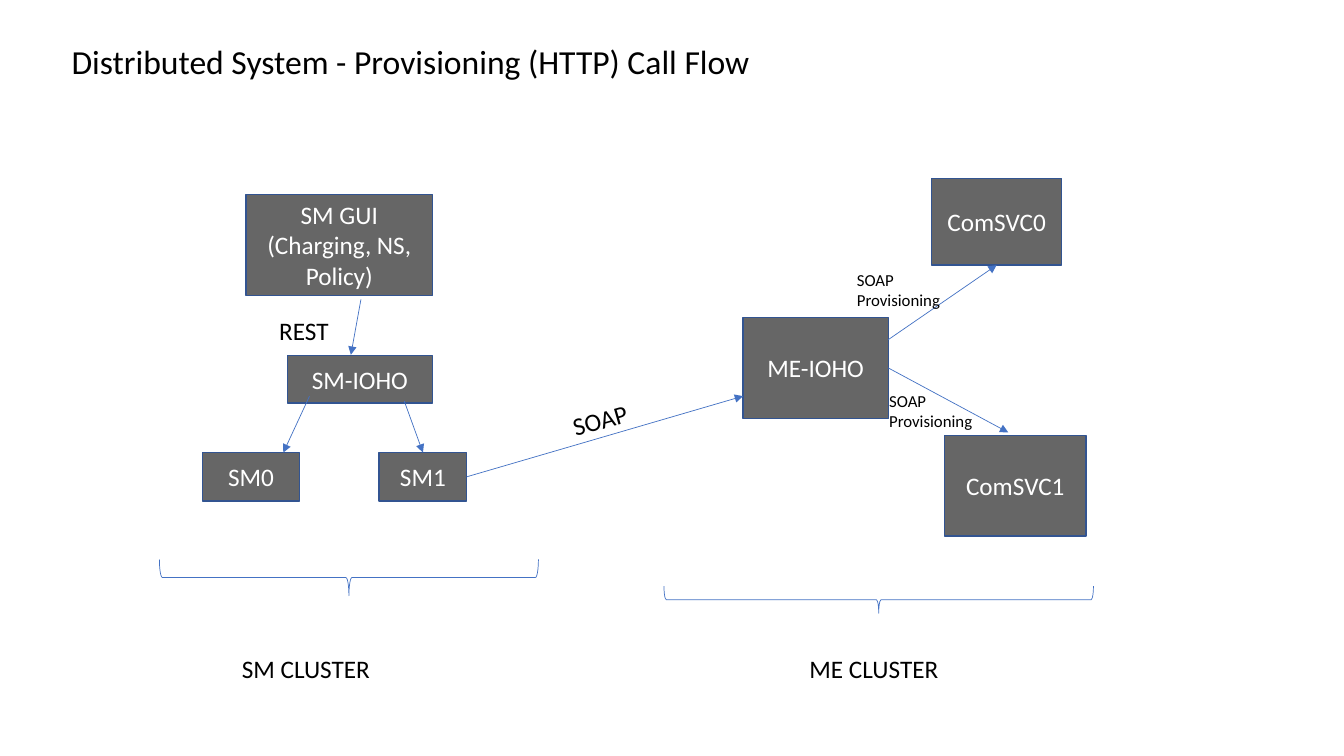
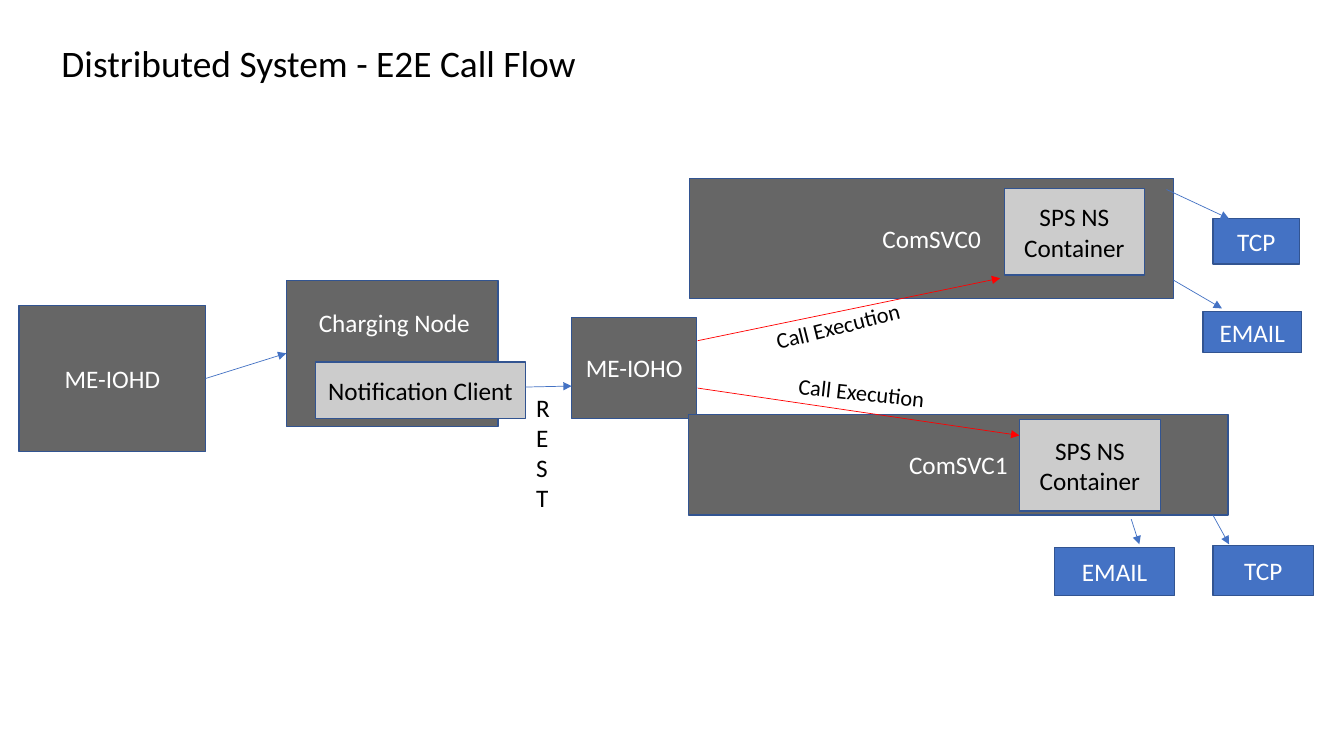
from dataclasses import dataclass
from typing import NamedTuple, Optional

import lxml.etree
import pptx
import pptx.dml.color
import pptx.enum.shapes
import pptx.enum.text
import pptx.oxml.ns
import pptx.util

RGBColor = pptx.dml.color.RGBColor
MSO_SHAPE = pptx.enum.shapes.MSO_SHAPE
MSO_ANCHOR = pptx.enum.text.MSO_ANCHOR
PP_ALIGN = pptx.enum.text.PP_ALIGN
MSO_AUTO_SIZE = pptx.enum.text.MSO_AUTO_SIZE
qn = pptx.oxml.ns.qn

EMU_PER_PX = 9144
FONT = "Calibri"
BLACK = RGBColor(0x00, 0x00, 0x00)
WHITE = RGBColor(0xFF, 0xFF, 0xFF)
DARK_GRAY = RGBColor(0x66, 0x66, 0x66)
LIGHT_GRAY = RGBColor(0xCC, 0xCC, 0xCC)
BLUE = RGBColor(0x44, 0x72, 0xC4)
BORDER = RGBColor(0x32, 0x54, 0x91)
RED = RGBColor(0xFF, 0x00, 0x00)
TOP, LEFT, BOTTOM, RIGHT = range(4)


class Look(NamedTuple):
    fill: RGBColor
    font: RGBColor


NODE = Look(DARK_GRAY, WHITE)
INNER = Look(LIGHT_GRAY, BLACK)
CHANNEL = Look(BLUE, WHITE)


class Rect(NamedTuple):
    x: int
    y: int
    w: int
    h: int


class Joint(NamedTuple):
    box: str
    side: int


@dataclass(frozen=True)
class Title:
    text: str
    rect: Rect
    size: float
    inset_x: int
    inset_y: int
    anchor: MSO_ANCHOR
    spacing: float


@dataclass(frozen=True)
class Box:
    text: str
    rect: Rect
    look: Look = NODE
    inset_left: int = 10
    inset_bottom: int = 5


@dataclass(frozen=True)
class Arrow:
    start: tuple[int, int]
    end: tuple[int, int]
    begin_at: Optional[Joint] = None
    end_at: Optional[Joint] = None
    color: RGBColor = BLUE


@dataclass(frozen=True)
class Label:
    text: str
    rect: Rect
    size: int = 18
    rotation: float = 0


@dataclass(frozen=True)
class Diagram:
    title: Title
    boxes: tuple[Box, ...]
    arrows: tuple[Arrow, ...]
    labels: tuple[Label, ...]
    braces: tuple[Rect, ...] = ()


PROVISIONING = Diagram(
    title=Title("Distributed System - Provisioning (HTTP) Call Flow",
                Rect(61, 41, 1212, 45), 24, 10, 5, MSO_ANCHOR.MIDDLE, 0.9),
    boxes=(
        Box("SM GUI (Charging, NS, Policy)", Rect(244, 193, 185, 100)),
        Box("ME-IOHO", Rect(737, 315, 144, 100)),
        Box("ComSVC0", Rect(924, 177, 129, 86)),
        Box("ComSVC1", Rect(937, 432, 140, 100)),
        Box("SM-IOHO", Rect(285, 353, 144, 47)),
        Box("SM0", Rect(201, 449, 96, 48)),
        Box("SM1", Rect(376, 449, 87, 48)),
    ),
    arrows=(
        Arrow((358, 297), (348, 352)),
        Arrow((463, 473), (737, 393), begin_at=Joint("SM1", RIGHT)),
        Arrow((881, 337), (989, 263), end_at=Joint("ComSVC0", BOTTOM)),
        Arrow((881, 365), (1000, 429), begin_at=Joint("ME-IOHO", RIGHT)),
        Arrow((307, 393), (281, 449)),
        Arrow((401, 398), (420, 449), end_at=Joint("SM1", TOP)),
    ),
    labels=(
        Label("SOAP", Rect(557, 392, 106, 40), rotation=-16.1),
        Label("SOAP Provisioning", Rect(840, 263, 129, 50), 12),
        Label("SOAP Provisioning", Rect(872, 383, 129, 50), 12),
        Label("REST", Rect(267, 308, 81, 40)),
        Label("SM CLUSTER", Rect(230, 643, 221, 40)),
        Label("ME CLUSTER", Rect(793, 643, 211, 40)),
    ),
    braces=(Rect(328, 385, 36, 376), Rect(858, 382, 27, 426)),
)

END_TO_END = Diagram(
    title=Title("Distributed System - E2E Call Flow",
                Rect(61, 40, 1212, 62), 26.7, 0, 0, MSO_ANCHOR.TOP, 1.0),
    boxes=(
        Box("ME-IOHD", Rect(19, 303, 185, 145)),
        Box("Charging Node", Rect(284, 278, 210, 145), inset_left=14, inset_bottom=66),
        Box("ME-IOHO", Rect(567, 315, 124, 100)),
        Box("ComSVC0", Rect(684, 177, 480, 119)),
        Box("ComSVC1", Rect(683, 411, 535, 100)),
        Box("SPS NS Container", Rect(996, 187, 139, 86), INNER),
        Box("SPS NS Container", Rect(1011, 416, 140, 91), INNER),
        Box("Notification Client", Rect(313, 359, 208, 56), INNER),
        Box("TCP", Rect(1203, 217, 86, 45), CHANNEL),
        Box("EMAIL", Rect(1046, 543, 119, 48), CHANNEL),
        Box("TCP", Rect(1203, 541, 100, 50), CHANNEL),
        Box("EMAIL", Rect(1193, 309, 98, 41), CHANNEL),
    ),
    arrows=(
        Arrow((204, 375), (284, 351), Joint("ME-IOHD", RIGHT), Joint("Charging Node", LEFT)),
        Arrow((521, 384), (567, 383)),
        Arrow((692, 338), (992, 276), color=RED),
        Arrow((692, 385), (1011, 432), color=RED),
        Arrow((1157, 188), (1219, 217)),
        Arrow((1164, 278), (1212, 306)),
        Arrow((1122, 515), (1130, 540)),
        Arrow((1203, 511), (1219, 540)),
    ),
    labels=(
        Label("REST", Rect(522, 384, 36, 131)),
        Label("Call Execution", Rect(758, 301, 177, 37), 16, -14.2),
        Label("Call Execution", Rect(782, 372, 165, 37), 16, 6.2),
    ),
)


def px(n: int) -> pptx.util.Emu:
    return pptx.util.Emu(n * EMU_PER_PX)


def write(tf, text: str, size: float, color: RGBColor, align: PP_ALIGN) -> None:
    tf.text = text
    tf.word_wrap = True
    p = tf.paragraphs[0]
    p.alignment = align
    font = p.runs[0].font
    font.name = FONT
    font.size = pptx.util.Pt(size)
    font.color.rgb = color


def draw_title(slide, title: Title) -> None:
    sp = slide.shapes.title
    sp.left, sp.top, sp.width, sp.height = map(px, title.rect)
    tf = sp.text_frame
    write(tf, title.text, title.size, BLACK, PP_ALIGN.LEFT)
    tf.auto_size = MSO_AUTO_SIZE.NONE
    tf.margin_left = tf.margin_right = px(title.inset_x)
    tf.margin_top = tf.margin_bottom = px(title.inset_y)
    tf.vertical_anchor = title.anchor
    tf.paragraphs[0].line_spacing = title.spacing


def draw_box(slide, box: Box):
    sp = slide.shapes.add_shape(MSO_SHAPE.RECTANGLE, *map(px, box.rect))
    sp.shadow.inherit = False
    sp.fill.solid()
    sp.fill.fore_color.rgb = box.look.fill
    sp.line.color.rgb = BORDER
    sp.line.width = pptx.util.Pt(1)
    tf = sp.text_frame
    write(tf, box.text, 18, box.look.font, PP_ALIGN.CENTER)
    tf.vertical_anchor = MSO_ANCHOR.MIDDLE
    tf.margin_left = px(box.inset_left)
    tf.margin_bottom = px(box.inset_bottom)
    return sp


def draw_arrow(slide, arrow: Arrow, boxes: dict) -> None:
    cxn = slide.shapes.add_connector(
        pptx.enum.shapes.MSO_CONNECTOR.STRAIGHT, *map(px, arrow.start + arrow.end))
    if arrow.begin_at:
        cxn.begin_connect(boxes[arrow.begin_at.box], arrow.begin_at.side)
    if arrow.end_at:
        cxn.end_connect(boxes[arrow.end_at.box], arrow.end_at.side)
    cxn.line.color.rgb = arrow.color
    cxn.line.width = pptx.util.Pt(0.5)
    sp_pr = cxn.element.spPr
    lxml.etree.SubElement(sp_pr.find(qn("a:ln")), qn("a:tailEnd"), type="triangle")
    lxml.etree.SubElement(sp_pr, qn("a:effectLst"))


def draw_label(slide, label: Label) -> None:
    sp = slide.shapes.add_textbox(*map(px, label.rect))
    sp.rotation = label.rotation
    write(sp.text_frame, label.text, label.size, BLACK, PP_ALIGN.LEFT)
    sp.text_frame.auto_size = MSO_AUTO_SIZE.SHAPE_TO_FIT_TEXT


def draw_brace(slide, rect: Rect) -> None:
    sp = slide.shapes.add_shape(MSO_SHAPE.RIGHT_BRACE, *map(px, rect))
    sp.rotation = 90
    sp.shadow.inherit = False
    sp.fill.background()
    sp.line.color.rgb = BLUE
    sp.line.width = pptx.util.Pt(0.5)


def draw_diagram(prs, diagram: Diagram) -> None:
    slide = prs.slides.add_slide(prs.slide_layouts.get_by_name("Title Only"))
    draw_title(slide, diagram.title)
    boxes = {box.text: draw_box(slide, box) for box in diagram.boxes}
    for arrow in diagram.arrows:
        draw_arrow(slide, arrow, boxes)
    for rect in diagram.braces:
        draw_brace(slide, rect)
    for label in diagram.labels:
        draw_label(slide, label)


def main() -> None:
    prs = pptx.Presentation()
    prs.slide_width, prs.slide_height = px(1333), px(750)
    for diagram in (PROVISIONING, END_TO_END):
        draw_diagram(prs, diagram)
    prs.save("out.pptx")


if __name__ == "__main__":
    main()
